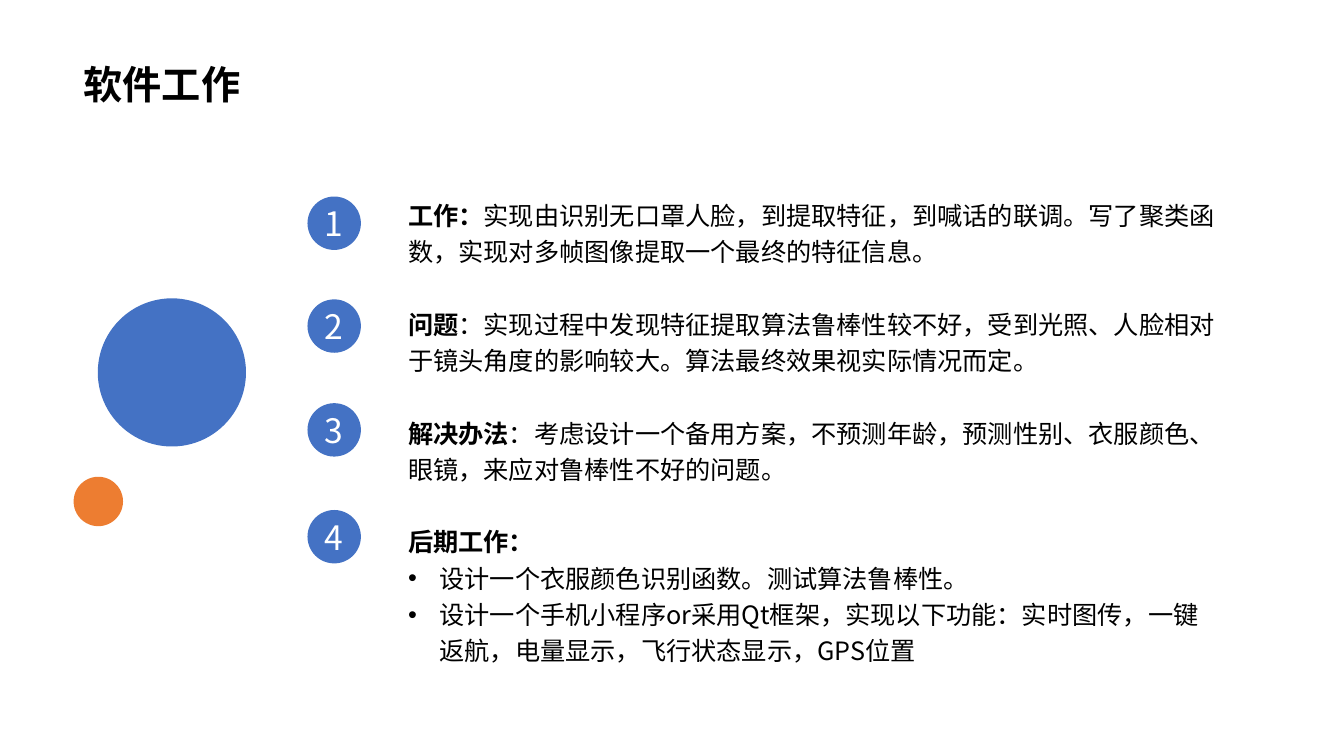
from pptx import Presentation, util as u
from pptx.dml.color import RGBColor
from pptx.enum import shapes, text
from pptx.oxml import parse_xml
from pptx.oxml.ns import nsdecls

BLUE, ORANGE, BLACK, WHITE = "4472C4", "ED7D31", "000000", "FFFFFF"
FONT = "Noto Sans CJK SC"
BODY_SPACING = 1.2
BADGE_TOPS = (1.95, 2.97, 4, 5.06)
SECTIONS = (
    ("工作：", "实现由识别无口罩人脸，到提取特征，到喊话的联调。写了聚类函数，实现对多帧图像提取一个最终的特征信息。"),
    ("问题", "：实现过程中发现特征提取算法鲁棒性较不好，受到光照、人脸相对于镜头角度的影响较大。算法最终效果视实际情况而定。"),
    ("解决办法", "：考虑设计一个备用方案，不预测年龄，预测性别、衣服颜色、眼镜，来应对鲁棒性不好的问题。"),
    ("后期工作：", ""),
)
NEXT_STEPS = (
    "设计一个衣服颜色识别函数。测试算法鲁棒性。",
    "设计一个手机小程序or采用Qt框架，实现以下功能：实时图传，一键返航，电量显示，飞行状态显示，GPS位置",
)


def rgb(hex_code):
    return RGBColor.from_string(hex_code)


def write(paragraph, wording, size=18, color=BLACK, bold=False):
    """Append a run, with the font set for Latin and East Asian letters."""
    run = paragraph.add_run()
    run.text = wording
    font = run.font
    font.name, font.size, font.bold = FONT, u.Pt(size), bold
    font.color.rgb = rgb(color)
    run._r.get_or_add_rPr().find("{*}latin").addnext(
        parse_xml(f'<a:ea {nsdecls("a")} typeface="{FONT}"/>'))


def add_bullet(paragraph, indent=0.31):
    props = paragraph._p.get_or_add_pPr()
    props.set("marL", str(u.Inches(indent)))
    props.set("indent", str(-u.Inches(indent)))
    props.append(parse_xml(f'<a:buFont {nsdecls("a")} typeface="Arial"/>'))
    props.append(parse_xml(f'<a:buChar {nsdecls("a")} char="•"/>'))


class SlideBuilder:
    def __init__(self, deck):
        self.slide = deck.slides.add_slide(deck.slide_layouts[5])

    def title(self, wording, left, top, width, height):
        heading = self.slide.shapes.title
        heading.left, heading.top = u.Inches(left), u.Inches(top)
        heading.width, heading.height = u.Inches(width), u.Inches(height)
        frame = heading.text_frame
        frame.vertical_anchor = text.MSO_ANCHOR.BOTTOM
        line = frame.paragraphs[0]
        line.alignment, line.line_spacing = text.PP_ALIGN.LEFT, 0.9
        write(line, wording, size=28, bold=True)

    def circle(self, left, top, diameter, color=BLUE, label=""):
        disc = self.slide.shapes.add_shape(
            shapes.MSO_SHAPE.OVAL, u.Inches(left), u.Inches(top),
            u.Inches(diameter), u.Inches(diameter))
        disc.shadow.inherit = False
        disc.fill.solid()
        disc.fill.fore_color.rgb = rgb(color)
        disc.line.fill.background()
        if label:
            frame = disc.text_frame
            frame.margin_left = frame.margin_right = 0
            frame.margin_top = frame.margin_bottom = 0
            frame.vertical_anchor = text.MSO_ANCHOR.MIDDLE
            frame.paragraphs[0].alignment = text.PP_ALIGN.CENTER
            write(frame.paragraphs[0], label, size=24, color=WHITE)

    def report(self, sections, steps, left, top, width, height):
        """Headed paragraphs followed by a bulleted list, in one text box."""
        frame = self.slide.shapes.add_textbox(
            u.Inches(left), u.Inches(top),
            u.Inches(width), u.Inches(height)).text_frame
        frame.word_wrap = True
        frame.vertical_anchor = text.MSO_ANCHOR.MIDDLE
        for index, (heading, body) in enumerate(sections):
            section = frame.add_paragraph() if index else frame.paragraphs[0]
            section.line_spacing = BODY_SPACING
            section.space_before = u.Pt(26 if index else 0)
            write(section, heading, bold=True)
            if body:
                write(section, body)
        for step in steps:
            item = frame.add_paragraph()
            item.line_spacing = BODY_SPACING
            add_bullet(item)
            write(item, step)


def main():
    deck = Presentation()
    deck.slide_width, deck.slide_height = u.Inches(13.33), u.Inches(7.5)
    builder = SlideBuilder(deck)
    builder.title("软件工作", 0.73, 0, 11.87, 1.12)
    builder.circle(0.97, 2.96, 1.47)
    builder.circle(0.73, 4.73, 0.49, color=ORANGE)
    for number, top in enumerate(BADGE_TOPS, start=1):
        builder.circle(3.05, top, 0.53, label=str(number))
    builder.report(SECTIONS, NEXT_STEPS, 3.95, 1.03, 8.23, 6.47)
    deck.save("out.pptx")


if __name__ == "__main__":
    main()
